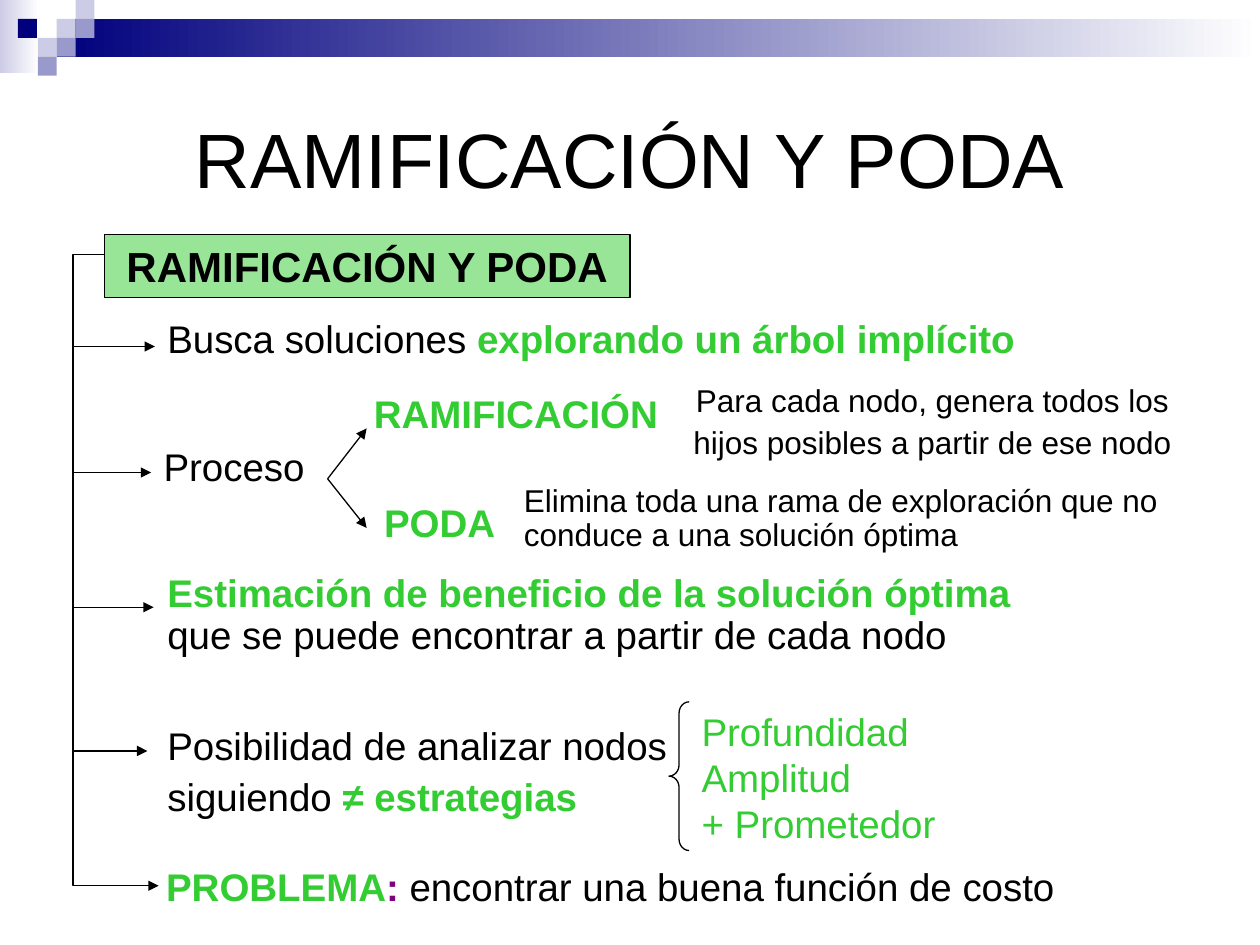
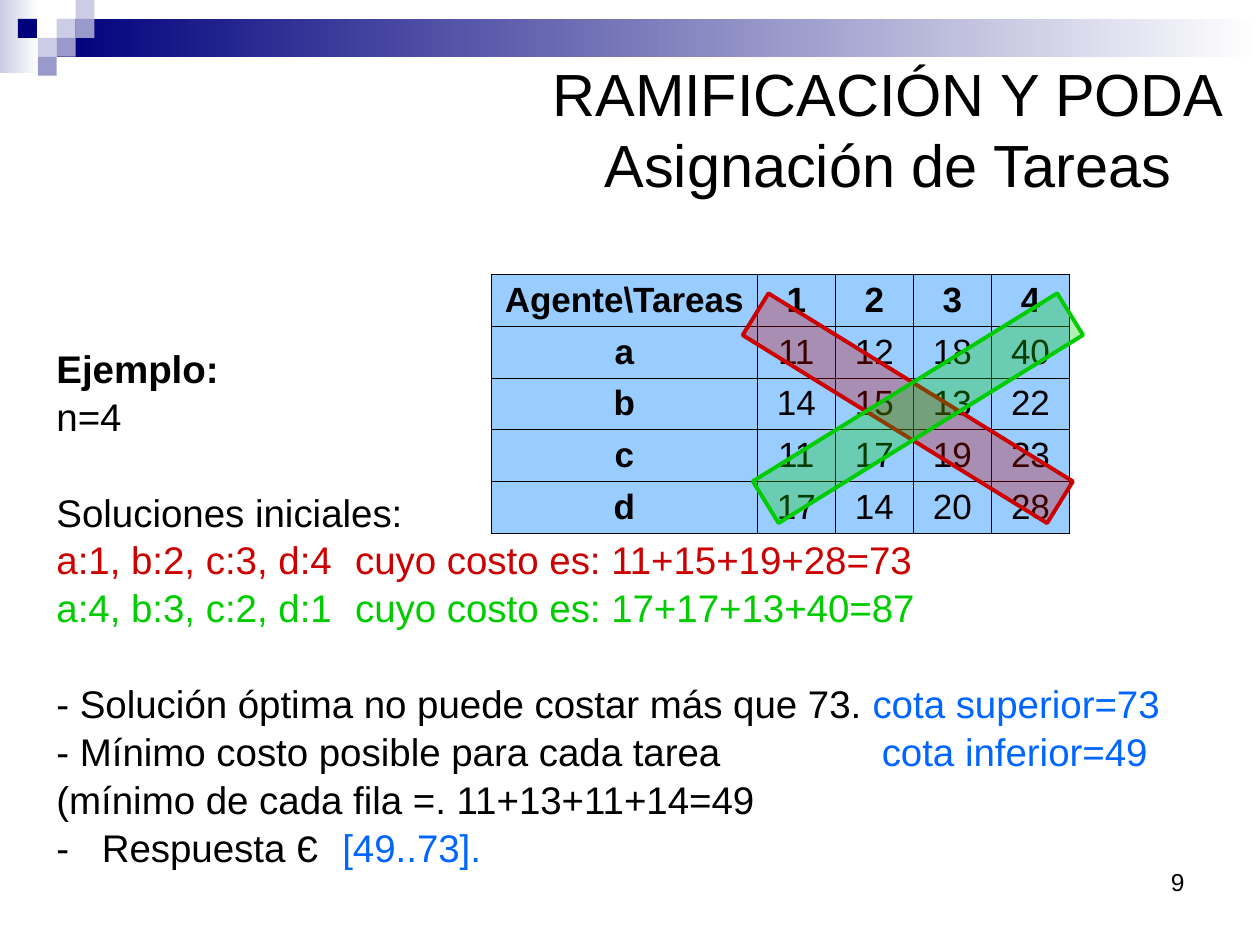
from lxml import etree
from pptx import Presentation
from pptx.dml.color import RGBColor
from pptx.enum.shapes import MSO_CONNECTOR, MSO_SHAPE
from pptx.enum.text import MSO_ANCHOR, PP_ALIGN
from pptx.oxml.ns import qn
from pptx.util import Inches, Pt

RECT, BRACE = MSO_SHAPE.RECTANGLE, MSO_SHAPE.LEFT_BRACE
STRAIGHT, ELBOW = MSO_CONNECTOR.STRAIGHT, MSO_CONNECTOR.ELBOW
LEFT, CENTER, RIGHT = PP_ALIGN.LEFT, PP_ALIGN.CENTER, PP_ALIGN.RIGHT
TOP, MIDDLE = MSO_ANCHOR.TOP, MSO_ANCHOR.MIDDLE

COLORS = {
    "black": "000000", "white": "FFFFFF", "navy": "00007D",
    "lilac": "CCCCE6", "violet": "9999CC", "purple": "800080",
    "green": "33CC33", "bright_green": "00CC00", "red": "CC0000",
    "blue": "0066FF", "sky": "99CCFF",
}
FONT = "Arial"
BODY = 22
NOTE = 18
COLUMNS, ROWS = 100, 75  # the slide's grid; all places are given in its cells
CELL = Inches(10) // COLUMNS


def cells(*counts):
    return [round(count * CELL) for count in counts]


def color(name):
    return RGBColor.from_string(COLORS[name])


def element(parent, tag, **attributes):
    return etree.SubElement(parent, qn(tag), attributes)


def add_span(para, text, size, tint="black", bold=False, font=FONT):
    span = para.add_run()
    span.text = text
    span.font.name = font
    span.font.size = Pt(size)
    span.font.bold = bold
    span.font.color.rgb = color(tint)


def set_tabs(para, stops):
    tab_list = element(para._p.get_or_add_pPr(), "a:tabLst")
    for stop in stops:
        element(tab_list, "a:tab", pos=str(cells(stop)[0]), algn="l")


def write(frame, paras, size=BODY, align=LEFT, spacing=None, before=0,
          anchor=TOP):
    """Fill a frame; each paragraph is a list of spans (text, tint, bold, font)."""
    frame.word_wrap = True
    frame.vertical_anchor = anchor
    for index, spans in enumerate(paras):
        para = frame.paragraphs[0] if index == 0 else frame.add_paragraph()
        para.alignment = align
        if spacing:
            para.line_spacing = spacing
        if index and before:
            para.space_before = Pt(before)
        for text, *style in spans:
            add_span(para, text, size, *style)


def add_text(page, place, paras, **style):
    box = page.shapes.add_textbox(*cells(*place))
    write(box.text_frame, paras, **style)
    return box.text_frame


def add_point(page, place, *paras, size=BODY, align=LEFT):
    """Add text in the tight setting of the outline."""
    add_text(page, place, paras, size=size, align=align, spacing=0.9,
             before=size / 4)


def add_title(page, place, lines, size):
    add_text(page, place, [[(line,)] for line in lines], size=size,
             align=CENTER, anchor=MIDDLE)


def add_block(page, place, fill=None, line=None, weight=0.75, opacity=100,
              kind=RECT):
    block = page.shapes.add_shape(kind, *cells(*place))
    block.shadow.inherit = False
    if fill:
        block.fill.solid()
        block.fill.fore_color.rgb = color(fill)
        if opacity < 100:
            tone = block.fill._xPr.find(qn("a:solidFill"))[0]
            element(tone, "a:alpha", val=str(opacity * 1000))
    else:
        block.fill.background()
    if line:
        block.line.color.rgb = color(line)
        block.line.width = Pt(weight)
    else:
        block.line.fill.background()
    return block


def add_fade(page, place, start):
    """Add a band that fades to white from left to right."""
    band = add_block(page, place)
    band.fill.gradient()
    band.fill.gradient_angle = 0
    for stop, tint in zip(band.fill.gradient_stops, (start, "white")):
        stop.color.rgb = color(tint)


def add_arrow(page, start, end, kind=STRAIGHT):
    arrow = page.shapes.add_connector(kind, *cells(*start, *end))
    arrow.line.color.rgb = color("black")
    arrow.line.width = Pt(0.75)
    element(arrow.line._get_or_add_ln(), "a:tailEnd", type="triangle")
    element(arrow._element.spPr, "a:effectLst")
    return arrow


def add_corner(page):
    """Draw the bands and small squares at the top of every slide."""
    side = 1.5
    add_fade(page, (0, 0, 3.1, 5.8), "lilac")
    add_fade(page, (4.5, side, COLUMNS - 4.5, 3), "navy")
    squares = [(3, 1, "lilac"), (4, 0, "lilac"), (4, 1, "violet"),
               (2, 2, "lilac"), (0.95, 1, "navy"), (3, 2, "violet"),
               (2, 3, "violet")]
    for column, row, tint in squares:
        add_block(page, (column * side, row * side, side, side), tint)


def add_costs(page, left, top, widths, row_height, rows):
    table = page.shapes.add_table(
        len(rows), len(widths),
        *cells(left, top, sum(widths), row_height * len(rows))).table
    for column, width in zip(table.columns, widths):
        column.width = cells(width)[0]
    for row_index, values in enumerate(rows):
        table.rows[row_index].height = cells(row_height)[0]
        for column_index, value in enumerate(values):
            cell = table.cell(row_index, column_index)
            cell.margin_left = cell.margin_right = Inches(0.05)
            cell.margin_top = cell.margin_bottom = Inches(0.03)
            cell.vertical_anchor = MIDDLE
            add_borders(cell)
            cell.fill.solid()
            cell.fill.fore_color.rgb = color("sky")
            para = cell.text_frame.paragraphs[0]
            para.alignment = CENTER
            heading = row_index == 0 or column_index == 0
            add_span(para, str(value), 20, bold=heading)


def add_borders(cell):
    for side in "LRTB":
        border = element(cell._tc.get_or_add_tcPr(), f"a:ln{side}",
                         w=str(Pt(0.45)))
        element(element(border, "a:solidFill"), "a:srgbClr",
                val=COLORS["black"])


def build_outline(page):
    add_corner(page)
    add_title(page, (5, 5, 90, 15), ["RAMIFICACIÓN Y PODA"], 44)

    heading = add_block(page, (8.3, 18.6, 41.7, 5), "green", "black",
                        opacity=50)
    write(heading.text_frame, [[("RAMIFICACIÓN Y PODA", "black", True)]],
          size=24, align=CENTER, anchor=MIDDLE)

    trunk = 5.8
    start, end = (8.3, 20.2), (12.6, 70.3)
    spine = add_arrow(page, start, end, ELBOW)
    bend = round((trunk - start[0]) / (end[0] - start[0]) * 100000)
    guides = spine._element.spPr.find(qn("a:prstGeom")).get_or_add_avLst()
    element(guides, "a:gd", name="adj1", fmla=f"val {bend}")
    for tip, row in [(12.3, 27.5), (12, 37.5), (12.2, 48.2), (11.7, 59.6)]:
        add_arrow(page, (trunk, row), (tip, row))

    add_point(page, (12.3, 24.9, 81, 4.3),
              [("Busca soluciones ",),
               ("explorando un árbol implícito", "green", True)])

    add_point(page, (12, 35.1, 15, 4.3), [("Proceso",)])
    for row in (34, 41.9):
        add_arrow(page, (26, 38), (29.1, row))
    add_point(page, (28.7, 30.9, 26, 4.3), [("RAMIFICACIÓN", "green", True)])
    add_point(page, (48, 30.1, 52, 7.1),
              [("Para cada nodo, genera todos los",)],
              [("hijos posibles a partir de ese nodo",)],
              size=NOTE, align=CENTER)
    add_point(page, (29.5, 39.5, 12, 4.3), [("PODA", "green", True)])
    add_point(page, (40.6, 38, 52.8, 6.4),
              [("Elimina toda una rama de exploración que no "
                "conduce a una solución óptima",)], size=NOTE)

    add_point(page, (12.3, 45.1, 73.2, 7.6),
              [("Estimación de beneficio de la solución óptima",
                "green", True),
               (" que se puede encontrar a partir de cada nodo",)])

    add_point(page, (12.3, 57.2, 42, 8.4),
              [("Posibilidad de analizar nodos",)],
              [("siguiendo ",), ("≠ estrategias", "green", True)])
    brace = add_block(page, (53.1, 55.7, 1.6, 11.8), line="black", kind=BRACE)
    brace.adjustments[0] = 0.56
    strategies = ["Profundidad", "Amplitud", "+ Prometedor"]
    add_text(page, (54.7, 55.7, 24.4, 13),
             [[(strategy, "green")] for strategy in strategies])

    add_point(page, (12.2, 68.4, 83.9, 4.3),
              [("PROBLEMA", "green", True), (": ", "purple", True),
               ("encontrar una buena función de costo",)])


def build_example(page):
    add_corner(page)
    add_text(page, (71.7, 68.3, 23.3, 5.2), [[("9",)]], size=14, align=RIGHT)

    frame = add_text(page, (3.5, 27.3, 92.3, 46), [
        [("Ejemplo:", "black", True)],
        [("n=4",)],
        [("Soluciones iniciales:",)],
        [("a:1, b:2, c:3, d:4\tcuyo costo es: 11+15+19+28=73", "red")],
        [("a:4, b:3, c:2, d:1\tcuyo costo es: 17+17+13+40=87",
          "bright_green")],
        [("- Solución óptima no puede costar más que 73. ",),
         ("cota superior=73", "blue")],
        [("- Mínimo costo posible para cada tarea\t",),
         ("cota inferior=49", "blue")],
        [("(mínimo de cada fila =. 11+13+11+14=49",)],
        [("-\tRespuesta ",), ("Є ", "black", False, "Courier New"),
         ("[49..73].", "blue")],
    ], spacing=0.9, before=3.6)
    for section_start in (2, 5):
        frame.paragraphs[section_start].space_before = Pt(31)
    for index, stop in {3: 23.7, 4: 23.7, 6: 65.5, 8: 3.6}.items():
        set_tabs(frame.paragraphs[index], [stop])

    add_costs(page, 39, 21.8, [21.1] + [6.2] * 4, 4.1, [
        ["Agente\\Tareas", 1, 2, 3, 4],
        ["a", 11, 12, 18, 40],
        ["b", 14, 15, 13, 22],
        ["c", 11, 17, 19, 23],
        ["d", 17, 14, 20, 28],
    ])
    for left, tint, angle in [(70.1, "red", -58.3),
                              (70.9, "bright_green", 58.3)]:
        diagonal = add_block(page, (left, 18.2, 3.9, 28.4), tint, tint,
                             weight=2.25, opacity=30)
        diagonal.rotation = angle

    add_title(page, (41, 2.7, 59, 15),
              ["RAMIFICACIÓN Y PODA", "Asignación de Tareas"], 34)


def main():
    deck = Presentation()
    deck.slide_width, deck.slide_height = cells(COLUMNS, ROWS)
    blank = deck.slide_layouts[6]
    for build in (build_outline, build_example):
        build(deck.slides.add_slide(blank))
    deck.save("out.pptx")


if __name__ == "__main__":
    main()
